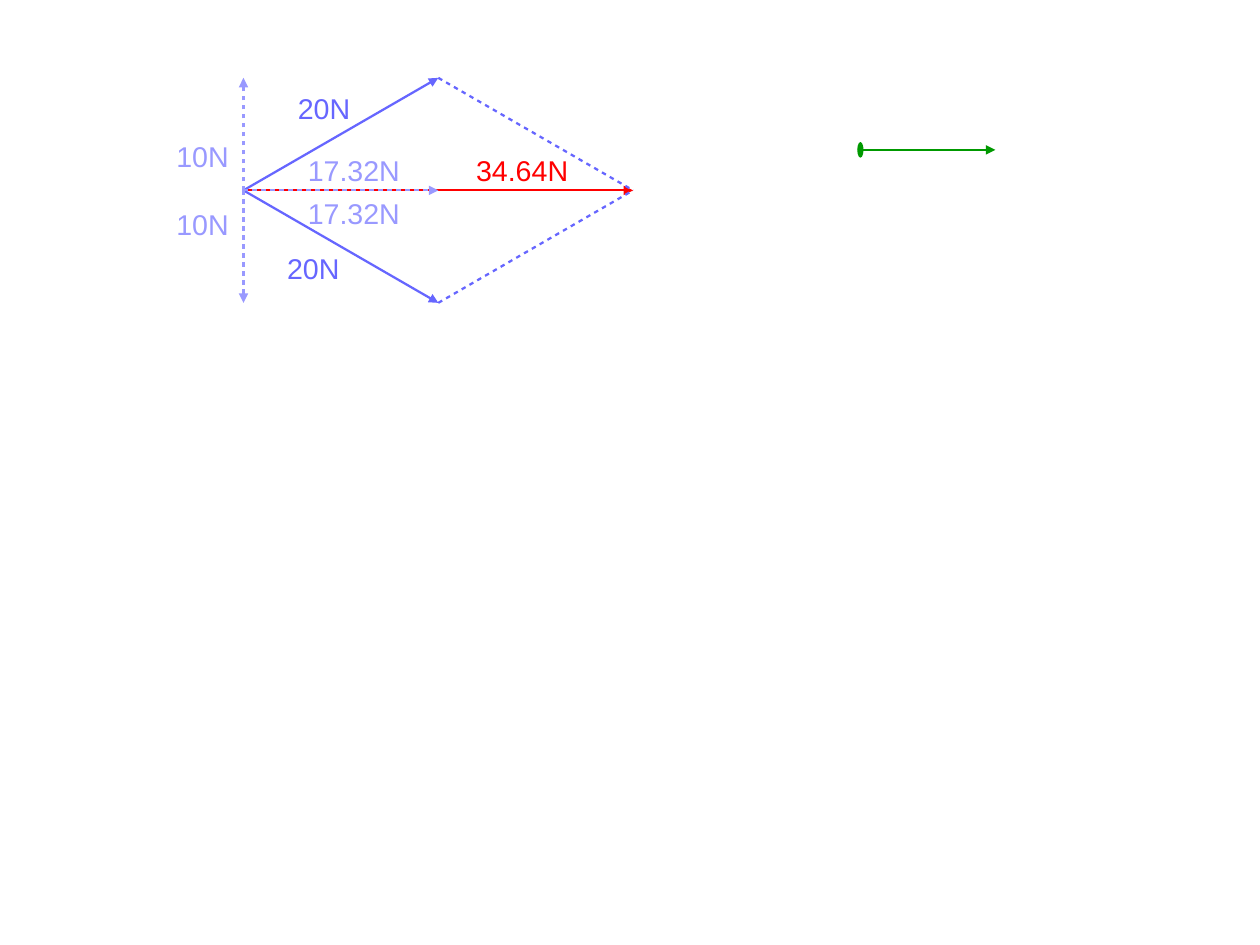
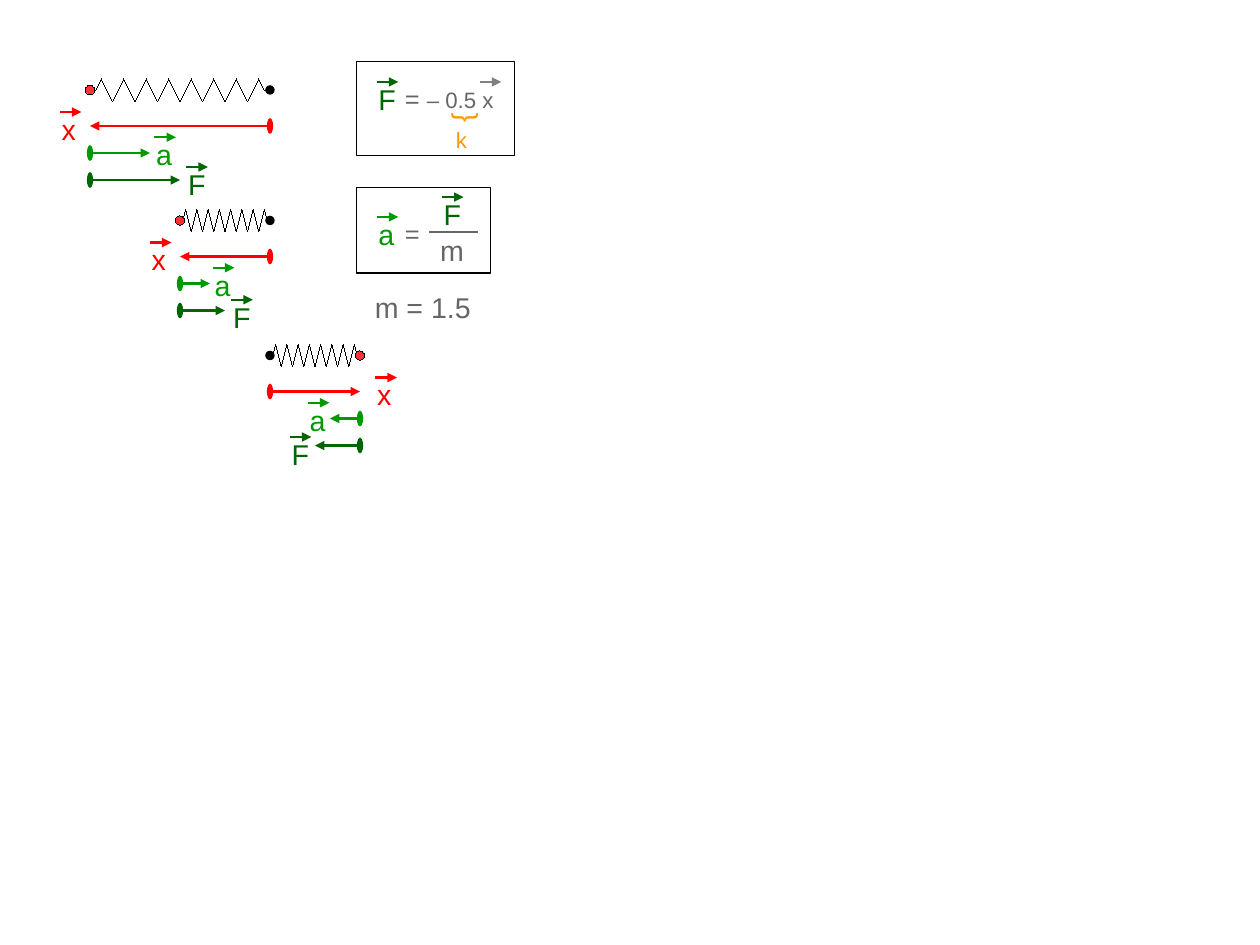
from dataclasses import dataclass
from itertools import pairwise
from lxml.etree import SubElement as Sub
from pptx import Presentation
from pptx.dml.color import RGBColor as Rgb
from pptx.enum.shapes import MSO_CONNECTOR as Con, MSO_SHAPE as Geo
from pptx.enum.text import PP_ALIGN as Align
from pptx.oxml.ns import qn
from pptx.util import Cm, Pt


@dataclass(frozen=True)
class Theme:
    """Hold the colours, font, type sizes and line widths."""
    font: str = "Arial"
    blue: str = "6666FF"
    pale: str = "9999FF"
    red: str = "FF0000"
    ball: str = "FF3333"
    green: str = "009900"
    dark: str = "006600"
    grey: str = "666666"
    mist: str = "808080"
    gold: str = "FF9900"
    black: str = "000000"
    big: int = 18
    mid: int = 16
    small: int = 14
    bold: float = 1.42
    rule: float = 1.13
    frame: float = 0.85
    hair: float = 0


T = Theme()


def ink(item, color, width):
    """Colour an outline, set its width even when zero, and return it."""
    item.line.color.rgb = Rgb.from_string(color)
    edge = item.element.spPr.find(qn("a:ln"))
    edge.set("w", str(int(Pt(width))))
    return edge


def line(shapes, start, end, color, width=T.bold, dash=False, head=False, tail=False):
    """Draw a straight line, dashed or with end marks if asked."""
    item = shapes.add_connector(Con.STRAIGHT, *map(Cm, (*start, *end)))
    edge = ink(item, color, width)
    if dash:
        Sub(Sub(edge, qn("a:custDash")), qn("a:ds"), d="200000", sp="200000")
    if head:
        Sub(edge, qn("a:headEnd"), type="oval", w="lg", len="sm")
    if tail:
        Sub(edge, qn("a:tailEnd"), type="triangle", w="med", len="med")
    Sub(item.element.spPr, qn("a:effectLst"))


def text(shapes, left, top, width, color, *runs, align=Align.LEFT):
    """Add a one-line text box from (words, size) runs."""
    box = shapes.add_textbox(Cm(left), Cm(top), Cm(width), Cm(0.97))
    box.text_frame.word_wrap = True
    para = box.text_frame.paragraphs[0]
    para.alignment = align
    for words, size in runs:
        run = para.add_run()
        run.text = words
        run.font.name = T.font
        run.font.size = Pt(size)
        run.font.color.rgb = Rgb.from_string(color)
    return box


def style(item, fill=None, edge=None, width=T.hair):
    """Set the fill and outline of a shape and drop its shadow."""
    item.shadow.inherit = False
    if fill:
        item.fill.solid()
        item.fill.fore_color.rgb = Rgb.from_string(fill)
    else:
        item.fill.background()
    if edge:
        ink(item, edge, width)
    else:
        item.line.fill.background()


def frame(shapes, left, top, width, height):
    """Draw an open black box round a formula."""
    item = shapes.add_shape(Geo.RECTANGLE, Cm(left), Cm(top), Cm(width), Cm(height))
    style(item, edge=T.black, width=T.frame)


def dot(shapes, x, y, fill, edge=None):
    """Draw a small disc centred on a point."""
    size = 0.21
    item = shapes.add_shape(Geo.OVAL, Cm(x - size / 2), Cm(y - size / 2), Cm(size), Cm(size))
    style(item, fill, edge)


def mark(shapes, left, top, name, color):
    """Group a letter with the vector arrow above it."""
    group = shapes.add_group_shape().shapes
    text(group, left, top, 0.95, color, (name, T.big))
    x, y = left + 0.21, top + 0.13
    line(group, (x, y), (x + 0.48, y), color, tail=True)


def coil(shapes, start, end, y):
    """Group the hairlines of a zigzag spring with eight peaks."""
    steps = [(0, 0), (1, 0)] + [(n, -1 if n % 4 == 2 else 1) for n in range(2, 31, 2)]
    steps += [(31, 0), (32, 0)]
    pitch = (end - start) / 32
    group = shapes.add_group_shape().shapes
    for ends in pairwise((start + n * pitch, y + 0.25 * up) for n, up in steps):
        line(group, *ends, T.black, T.hair)


def spring(shapes, ball, y, lefts, drop):
    """Draw a spring with its displacement, acceleration and force."""
    rest, stiff, mass = 6, 0.5, 1.5
    shift = ball - rest
    force = -stiff * shift
    coil(shapes, min(ball, rest), max(ball, rest), y)
    dot(shapes, ball, y, T.ball, T.black)
    dot(shapes, rest, y, T.black)
    rows = (("x", T.red, rest, shift, 0.8, 0.36),
            ("a", T.green, ball, force / mass, 1.4, 0.92),
            ("F", T.dark, ball, force, 2, drop))
    for left, (name, color, start, size, down, gap) in zip(lefts, rows):
        line(shapes, (start, y + down), (start + size, y + down), color, head=True, tail=True)
        mark(shapes, left, y + gap, name, color)


def forces(shapes):
    """Draw the parallelogram of two forces and their parts."""
    x, y, wide, high = 5.41, 4.23, 4.33, 2.5
    start, end = (x, y), (x + 2 * wide, y)
    tips = [(x + wide, y - high), (x + wide, y + high)]
    for tip in tips:
        line(shapes, start, tip, T.blue, tail=True)
    line(shapes, start, end, T.red, tail=True)
    for part in ((x + wide, y), (x, y - high), (x, y + high)):
        line(shapes, start, part, T.pale, dash=True, tail=True)
    for tip in tips:
        line(shapes, tip, end, T.blue, dash=True)
    for words, left, top, color in (
            ("20N", 6.37, 1.9, T.blue), ("34.64N", 10.33, 3.28, T.red),
            ("20N", 6.13, 5.45, T.blue), ("10N", 3.67, 2.96, T.pale),
            ("10N", 3.67, 4.47, T.pale), ("17.32N", 6.59, 3.28, T.pale),
            ("17.32N", 6.59, 4.24, T.pale)):
        text(shapes, left, top, 2.8, color, (words, T.big))
    line(shapes, (19.12, 3.33), (22.12, 3.33), T.green, head=True, tail=True)


def hooke(shapes):
    """Write the spring law with its constant."""
    frame(shapes, 7.93, 1.37, 3.51, 2.09)
    mark(shapes, 8.16, 1.69, "F", T.dark)
    text(shapes, 8.75, 1.73, 3.66, T.grey, ("= ", T.mid), ("– 0.5 x", T.small))
    line(shapes, (10.66, 1.82), (11.14, 1.82), T.mist, tail=True)
    brace = text(shapes, 9.72, 2.13, 1, T.gold, ("{", T.big), align=Align.CENTER)
    brace.rotation = 270
    text(shapes, 9.88, 2.69, 0.9, T.gold, ("k", T.small))


def newton(shapes):
    """Write the law of motion with its mass."""
    frame(shapes, 7.92, 4.17, 2.98, 1.9)
    mark(shapes, 8.16, 4.69, "a", T.green)
    text(shapes, 8.75, 4.72, 1, T.grey, ("=", T.mid))
    mark(shapes, 9.61, 4.25, "F", T.dark)
    line(shapes, (9.53, 5.15), (10.62, 5.15), T.grey, T.rule)
    text(shapes, 9.53, 5.05, 1.2, T.grey, ("m", T.big))
    text(shapes, 8.08, 6.32, 3, T.grey, ("m = 1.5", T.big))


def main():
    """Build both slides and save the deck."""
    deck = Presentation()
    deck.slide_width, deck.slide_height = Cm(28), Cm(21)
    blank = deck.slide_layouts[6]
    forces(deck.slides.add_slide(blank).shapes)
    shapes = deck.slides.add_slide(blank).shapes
    spring(shapes, 2, 2, (1.12, 3.22, 3.93), 1.58)
    spring(shapes, 4, 4.9, (3.12, 4.52, 4.93), 1.63)
    spring(shapes, 8, 7.9, (8.13, 6.63, 6.23), 1.68)
    hooke(shapes)
    newton(shapes)
    deck.save("out.pptx")


if __name__ == "__main__":
    main()
